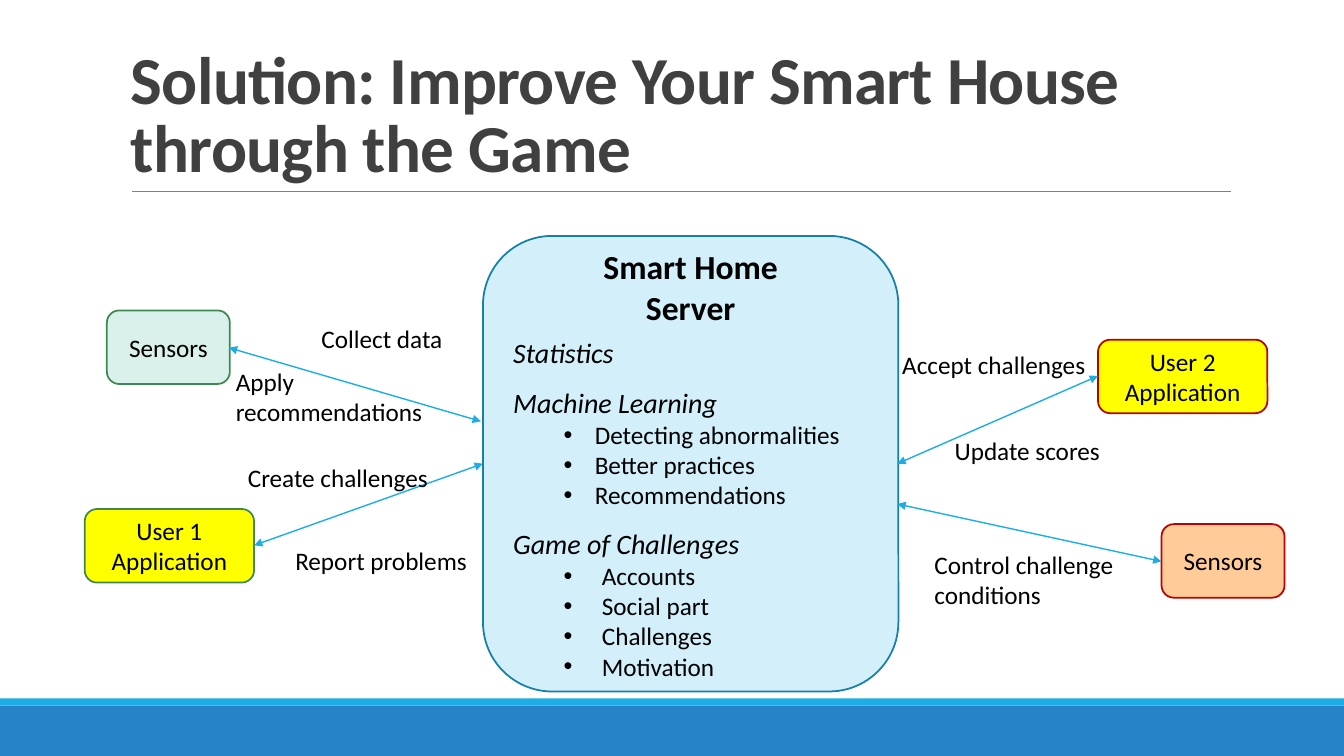
from dataclasses import dataclass

from lxml.etree import SubElement
from pptx import Presentation
from pptx.dml.color import RGBColor
from pptx.enum.shapes import MSO_CONNECTOR as Connector, MSO_SHAPE as Shape
from pptx.enum.text import MSO_ANCHOR as Anchor, MSO_AUTO_SIZE as AutoSize, PP_ALIGN as Align
from pptx.oxml.ns import qn
from pptx.util import Inches, Pt


@dataclass(frozen=True)
class Theme:
    font: str = "Calibri"
    ink: str = "000000"
    title_ink: str = "404040"
    rule: str = "808080"
    accent: str = "1CADE4"
    footer: str = "2683C6"
    server_fill: str = "D2EFFA"
    server_edge: str = "1580A9"
    user: str = "FFFF00"
    mint: str = "D9F1EA"
    green: str = "3E8853"
    peach: str = "FFCC99"
    red: str = "C00000"
    title_size: int = 48
    server_size: int = 24
    topic_size: int = 20
    body_size: int = 18


THEME = Theme()


def color(code):
    return RGBColor.from_string(code)


def write(para, text, size=THEME.body_size, ink=THEME.ink, bold=False, italic=False,
          align=Align.LEFT, before=0, after=0, leading=None, tracking=None, bullet=None):
    para.text = text
    para.alignment = align
    para.space_before, para.space_after = Pt(before), Pt(after)
    if leading:
        para.line_spacing = leading
    for span in para.runs:
        span.font.name, span.font.size = THEME.font, Pt(size)
        span.font.bold, span.font.italic = bold, italic
        span.font.color.rgb = color(ink)
        if tracking:
            span.font._element.set("spc", str(tracking))
    if bullet:
        margin, hanging = bullet
        para.level = 1
        props = para._p.get_or_add_pPr()
        props.set("marL", str(Inches(margin)))
        props.set("indent", str(-Inches(hanging)))
        SubElement(props, qn("a:buFont"), typeface="Arial")
        SubElement(props, qn("a:buChar"), char="•")


class SlideBuilder:
    """Draws themed elements on the current page."""

    def __init__(self, page, theme):
        self.page, self.theme = page, theme

    def fill_text(self, frame, lines):
        for number, (text, style) in enumerate(lines):
            para = frame.add_paragraph() if number else frame.paragraphs[0]
            write(para, text, **style)

    def box(self, place, fill, edge=None, lines=(), kind=Shape.ROUNDED_RECTANGLE):
        box = self.page.shapes.add_shape(kind, *map(Inches, place))
        box.shadow.inherit = False
        box.fill.solid()
        box.fill.fore_color.rgb = color(fill)
        if edge:
            box.line.color.rgb = color(edge)
            box.line.width = Pt(1.25)
        else:
            box.line.fill.background()
        box.text_frame.word_wrap = True
        box.text_frame.vertical_anchor = Anchor.MIDDLE
        self.fill_text(box.text_frame, lines)

    def title(self, place, text):
        frame = self.page.shapes.add_textbox(*map(Inches, place)).text_frame
        frame.word_wrap = True
        frame.vertical_anchor = Anchor.BOTTOM
        write(frame.paragraphs[0], text, size=self.theme.title_size, bold=True,
              ink=self.theme.title_ink, leading=0.85, tracking=-50)

    def label(self, place, *lines):
        frame = self.page.shapes.add_textbox(*map(Inches, place)).text_frame
        frame.word_wrap = False
        frame.auto_size = AutoSize.SHAPE_TO_FIT_TEXT
        self.fill_text(frame, [(text, {}) for text in lines])

    def line(self, start, end, ink, width, arrows=False):
        line = self.page.shapes.add_connector(Connector.STRAIGHT, *map(Inches, start + end))
        line.line.color.rgb = color(ink)
        line.line.width = Pt(width)
        if arrows:
            stroke = line.line._get_or_add_ln()
            for tip in ("a:headEnd", "a:tailEnd"):
                SubElement(stroke, qn(tip), type="triangle")
        SubElement(line._element.spPr, qn("a:effectLst"))


def server_lines(theme):
    heading = dict(size=theme.server_size, bold=True, align=Align.CENTER)
    topic = dict(size=theme.topic_size, italic=True)
    lines = [("Smart Home", heading), ("Server", heading | {"after": 6}), ("Statistics", topic)]
    groups = [
        ("Machine Learning", (0.81, 0.31),
         ["Detecting abnormalities", "Better practices", "Recommendations"]),
        ("Game of Challenges", (0.88, 0.38),
         ["Accounts", "Social part", "Challenges", "Motivation"]),
    ]
    for name, bullet, items in groups:
        lines.append((name, topic | {"before": 12}))
        lines += [(item, {"bullet": bullet}) for item in items]
    return lines


def main():
    deck = Presentation()
    deck.slide_width, deck.slide_height = Inches(13.33), Inches(7.5)
    builder = SlideBuilder(deck.slides.add_slide(deck.slide_layouts[6]), THEME)

    builder.box((0, 7, 13.33, 0.5), THEME.footer, kind=Shape.RECTANGLE)
    builder.box((0, 6.93, 13.33, 0.07), THEME.accent, kind=Shape.RECTANGLE)
    builder.line((1.31, 1.9), (12.21, 1.9), THEME.rule, 0.5)
    builder.title((1.2, 0.31, 11, 1.59), "Solution: Improve Your Smart House \vthrough the Game")
    builder.box((4.79, 2.34, 4.12, 4.52), THEME.server_fill, THEME.server_edge,
                server_lines(THEME))

    clients = [
        ("Sensors", 11.52, 5.2, 1.22, THEME.peach, THEME.red),
        ("User 2 Application", 10.89, 3.37, 1.68, THEME.user, THEME.red),
        ("Sensors", 1.06, 3.08, 1.22, THEME.mint, THEME.green),
        ("User 1 Application", 0.84, 5.05, 1.68, THEME.user, THEME.green),
    ]
    for name, left, top, width, fill, edge in clients:
        builder.box((left, top, width, 0.73), fill, edge, [(name, {"align": Align.CENTER})])

    links = [
        ((4.79, 4.6), (2.52, 5.41)),
        ((4.77, 4.18), (2.27, 3.45)),
        ((10.89, 3.73), (8.9, 4.6)),
        ((11.52, 5.57), (8.9, 5)),
    ]
    for start, end in links:
        builder.line(start, end, THEME.accent, 1, arrows=True)

    builder.label((3.09, 3.16, 1.41, 0.4), "Collect data")
    builder.label((9.17, 5.4, 2.06, 0.71), "Control challenge", "conditions")
    builder.label((2.36, 4.54, 2.01, 0.4), "Create challenges")
    builder.label((8.85, 3.42, 2.04, 0.4), "Accept challenges")
    builder.label((9.37, 4.27, 1.66, 0.4), "Update scores")
    builder.label((2.24, 3.58, 2.07, 0.71), "Apply", "recommendations")
    builder.label((2.83, 5.36, 1.92, 0.4), "Report problems")

    deck.save("out.pptx")


if __name__ == "__main__":
    main()
